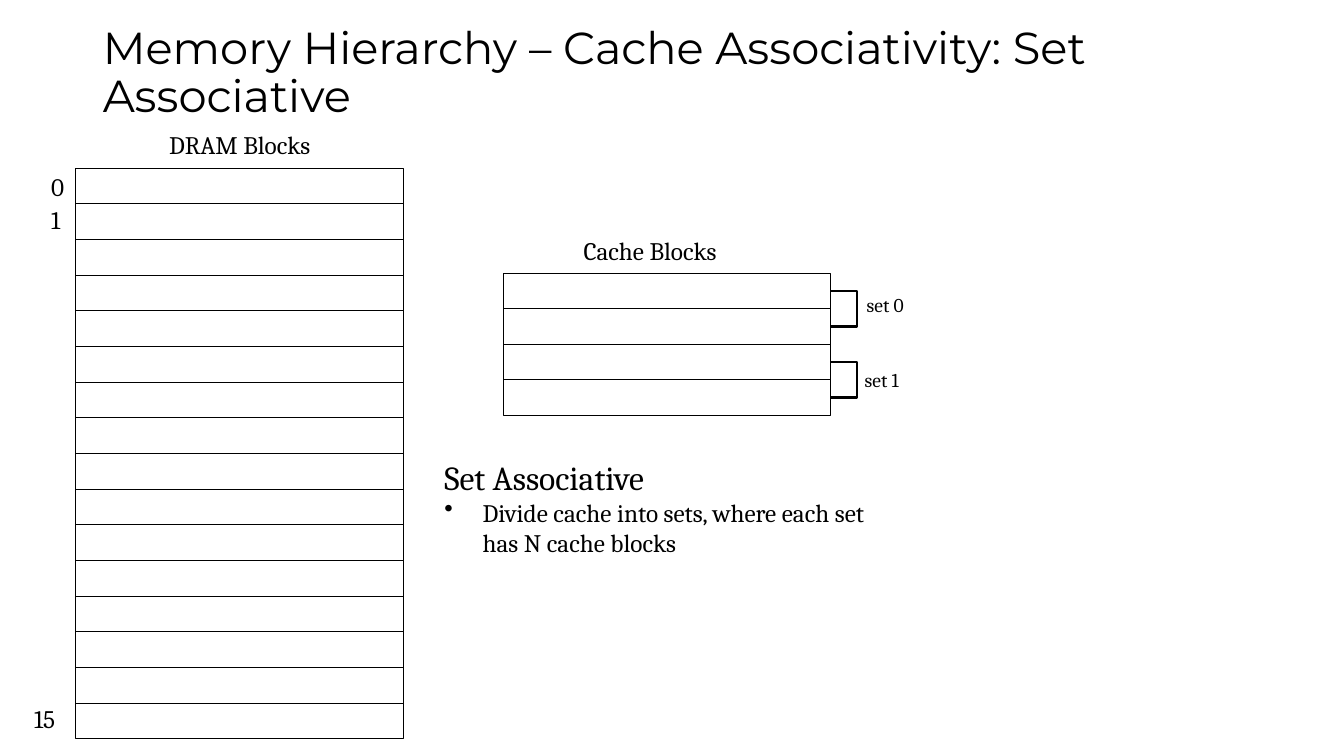
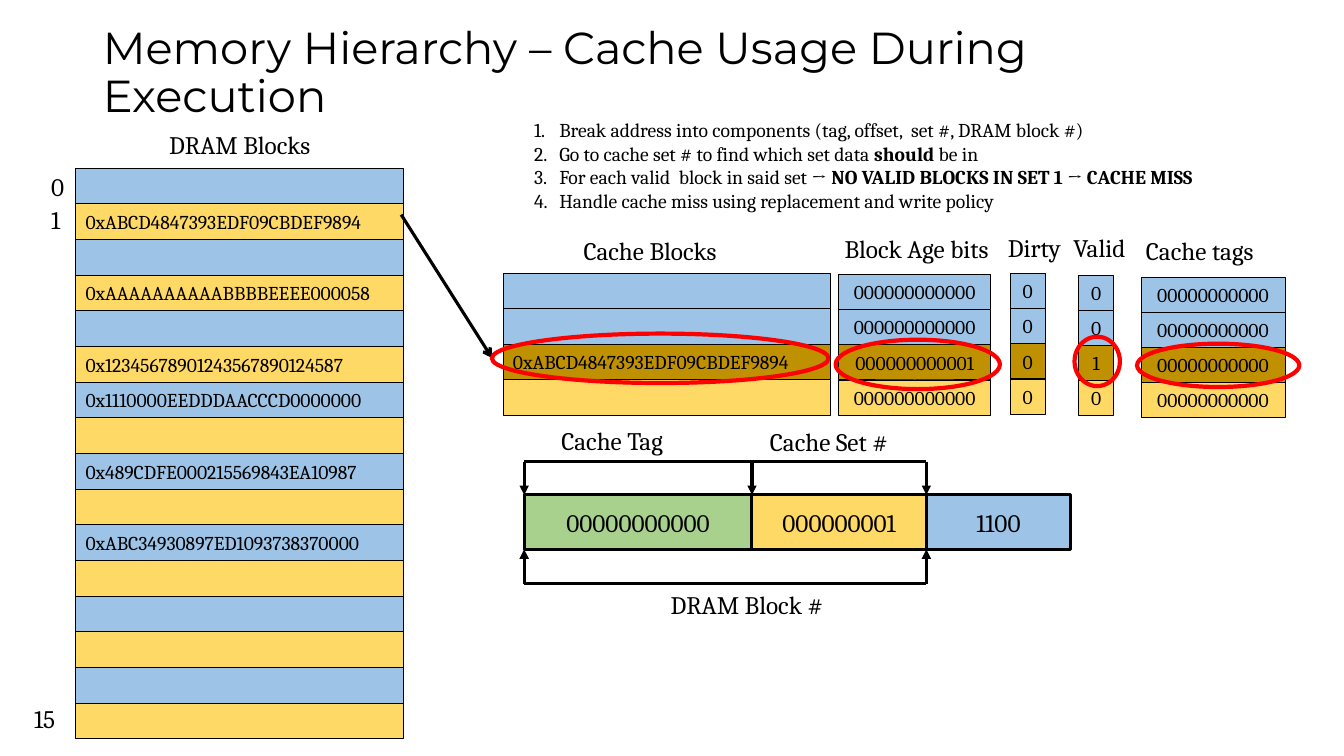
from collections import namedtuple
from itertools import accumulate

from lxml.etree import SubElement
from pptx import Presentation
from pptx.dml.color import RGBColor
from pptx.enum.shapes import MSO_CONNECTOR as Line, MSO_SHAPE as Shape
from pptx.enum.text import MSO_ANCHOR as Anchor, MSO_AUTO_SIZE as AutoSize, PP_ALIGN as Align
from pptx.oxml.ns import qn
from pptx.util import Inches, Pt

# The page is a grid of 0.1 inch units.
UNIT = Inches(0.1)
COLUMNS, ROWS = 133.33, 75
INSET = 1

BLACK = RGBColor(0x00, 0x00, 0x00)
BLUE = RGBColor(0x9D, 0xC3, 0xE6)
YELLOW = RGBColor(0xFF, 0xD9, 0x66)
GOLD = RGBColor(0xBF, 0x90, 0x00)
GREEN = RGBColor(0xA9, 0xD1, 0x8E)
RED = RGBColor(0xFF, 0x00, 0x00)
SET_COLORS = [BLUE, YELLOW]

TITLE_FONT, BODY_FONT = "Montserrat", "Cambria"
SMALL, NORMAL, LARGE = 14, 18, 24
THIN, MEDIUM, THICK, MARKER = 0.75, 1.5, 2.25, 3

Box = namedtuple("Box", "x y w h")
DRAM = Box(7.5, 16.7, 32.5, 56.6)
CACHE = Box(49.9, 27.1, 32.5, 14.1)
DRAM_ROWS, CACHE_ROWS = 16, 4
DRAM_WORDS = {
    1: "0xABCD4847393EDF09CBDEF9894",
    3: "0xAAAAAAAAAABBBBEEEE000058",
    5: "0x12345678901243567890124587",
    6: "0x1110000EEDDDAACCCD0000000",
    8: "0x489CDFE000215569843EA10987",
    10: "0xABC34930897ED1093738370000",
}
STEPS = [
    "Break address into components (tag, offset,  set #, DRAM block #)",
    "Go to cache set # to find which set data **should** be in",
    "For each valid  block in said set → **NO VALID BLOCKS IN SET 1 → CACHE MISS**",
    "Handle cache miss using replacement and write policy",
]


def units(*lengths):
    return [round(length * UNIT) for length in lengths]


def write(para, text, size, align=Align.LEFT, font=BODY_FONT):
    """Fill a paragraph; text between ** marks is bold."""
    para.alignment = align
    for index, part in enumerate(text.split("**")):
        if part:
            span = para.add_run()
            span.text = part
            span.font.name, span.font.size = font, Pt(size)
            span.font.bold = index % 2 == 1
            span.font.color.rgb = BLACK


def add_bullet(para, margin, hanging, tag, **attributes):
    properties = para._p.get_or_add_pPr()
    properties.set("marL", str(Inches(margin)))
    properties.set("indent", str(-Inches(hanging)))
    SubElement(properties, qn(tag), **attributes)


def add_text(page, box, text, size=NORMAL, align=Align.LEFT):
    frame = page.shapes.add_textbox(*units(*box)).text_frame
    frame.word_wrap = True
    write(frame.paragraphs[0], text, size, align)
    return frame


def style_outline(shape, fill, color, width):
    shape.shadow.inherit = False
    if fill is None:
        shape.fill.background()
    else:
        shape.fill.solid()
        shape.fill.fore_color.rgb = fill
    shape.line.color.rgb = color
    shape.line.width = Pt(width)


def add_cell(page, box, fill, text, align, size=SMALL, width=THIN):
    cell = page.shapes.add_shape(Shape.RECTANGLE, *units(*box))
    style_outline(cell, fill, BLACK, width)
    if text:
        frame = cell.text_frame
        frame.vertical_anchor = Anchor.MIDDLE
        frame.margin_left = frame.margin_right = INSET * UNIT
        frame.margin_top = frame.margin_bottom = INSET * UNIT
        write(frame.paragraphs[0], text, size, align)


def add_stack(page, box, fills, texts, align=Align.LEFT):
    """Split a box into equal rows, one for each fill."""
    height = box.h / len(fills)
    for row, (fill, text) in enumerate(zip(fills, texts)):
        add_cell(page, Box(box.x, box.y + row * height, box.w, height), fill, text, align)


def add_line(page, start, end, tail=None):
    line = page.shapes.add_connector(Line.STRAIGHT, *units(*start, *end))
    line.line.color.rgb = BLACK
    line.line.width = Pt(THICK)
    properties = line.element.spPr
    if tail:
        SubElement(properties.find(qn("a:ln")), qn("a:tailEnd"), type=tail)
    SubElement(properties, qn("a:effectLst"))


def add_ring(page, box):
    ring = page.shapes.add_shape(Shape.OVAL, *units(*box))
    style_outline(ring, None, RED, MARKER)


def add_title_page(deck, text, width):
    page = deck.slides.add_slide(deck.slide_layouts[5])
    title = page.shapes.title
    title.left, title.top, title.width, title.height = units(9.2, 4, width, 6.7)
    frame = title.text_frame
    frame.auto_size = AutoSize.NONE
    frame.word_wrap = True
    frame.vertical_anchor = Anchor.MIDDLE
    write(frame.paragraphs[0], text, 32, font=TITLE_FONT)
    frame.paragraphs[0].line_spacing = 0.9
    return page


def add_dram(page, box, fills, words):
    add_stack(page, box, fills, [words.get(row) for row in range(DRAM_ROWS)])
    add_text(page, Box(box.x + 8.3, box.y - 4.4, 16.6, 4), "DRAM Blocks")
    for text, x, y, width in [("0", -3.4, -0.2, 3.4), ("1", -3.4, 3.1, 3.4), ("15", -5.1, 52.6, 5)]:
        add_text(page, Box(box.x + x, box.y + y, width, 4), text)


def add_cache(page, box, fills, words):
    add_stack(page, box, fills, [words.get(row) for row in range(CACHE_ROWS)])
    add_text(page, Box(box.x + 7, box.y - 4.2, 16.1, 4), "Cache Blocks")


def add_set_brackets(page, box):
    """Join the two rows of each set on the right of the cache."""
    row, right, reach = box.h / CACHE_ROWS, box.x + box.w, 2.6
    for index, (x, y) in enumerate([(2.6, 1.5), (2.4, 8.9)]):
        top = box.y + (2 * index + 0.5) * row
        outer = right + reach
        bracket = page.shapes.build_freeform(*units(right, top))
        corners = [(outer, top), (outer, top + row), (right, top + row)]
        bracket.add_line_segments([units(*corner) for corner in corners], close=False)
        style_outline(bracket.convert_to_shape(), None, BLACK, MEDIUM)
        add_text(page, Box(right + x, box.y + y, 6.6, 3.4), f"set {index}", SMALL)


def add_cache_fields(page, fills):
    fields = [
        ("Block Age bits", Box(82.8, 22.7, 17.3, 4), Box(83.2, 27.2, 15.1, 14), 12, "0001"),
        ("Dirty", Box(99, 22.6, 7.6, 4), Box(100.2, 27.1, 3.5, 14), 1, "0000"),
        ("Valid", Box(105.5, 22.6, 7.6, 4), Box(107, 27.3, 3.5, 13.9), 1, "0010"),
        ("Cache tags", Box(112.7, 22.9, 13.4, 4), Box(113.2, 27.5, 14.3, 13.9), 11, "0000"),
    ]
    for name, label, stack, digits, bits in fields:
        if name == "Block Age bits":
            bits = "0010"
        add_text(page, label, name)
        add_stack(page, stack, fills, [bit.zfill(digits) for bit in bits], Align.CENTER)


def add_address(page, box):
    """Address split into tag, set and offset, with brackets above and below."""
    parts = [("00000000000", GREEN, 22.6), ("000000001", YELLOW, 17.3), ("1100", BLUE, 14.3)]
    edges = list(accumulate([width for _, _, width in parts], initial=box.x))
    for (text, fill, width), left in zip(parts, edges):
        add_cell(page, Box(left, box.y, width, box.h), fill, text, Align.CENTER, NORMAL, THICK)

    first, middle, last = edges[:3]
    bottom = box.y + box.h
    above, below = box.y - 3.3, bottom + 3.4
    for y, side, stops in [(above, box.y, (first, middle, last)), (below, bottom, (first, last))]:
        add_line(page, (first, y), (last, y))
        for x in stops:
            add_line(page, (x, y), (x, side), "triangle")
    add_text(page, Box(first + 2.7, above - 4.1, 13, 4), "Cache Tag")
    add_text(page, Box(middle + 0.8, above - 4, 14.4, 4), "Cache Set #")
    add_text(page, Box(first + 9.9, below + 0.1, 24.4, 4), "DRAM Block #", align=Align.CENTER)


def add_steps(page, box):
    frame = add_text(page, box, STEPS[0], SMALL)
    for step in STEPS[1:]:
        write(frame.add_paragraph(), step, SMALL)
    for para in frame.paragraphs:
        add_bullet(para, 0.5, 0.25, "a:buAutoNum", type="arabicPeriod")


def add_definition(page, box):
    frame = add_text(page, box, "Set Associative", LARGE)
    para = frame.add_paragraph()
    write(para, "Divide cache into sets, where each set has N cache blocks", NORMAL)
    add_bullet(para, 0.38, 0.38, "a:buChar", char="•")


def build_associativity(deck):
    page = add_title_page(deck, "Memory Hierarchy – Cache Associativity: Set Associative", 117.3)
    add_dram(page, DRAM, [None] * DRAM_ROWS, {})
    add_cache(page, CACHE, [None] * CACHE_ROWS, {})
    add_set_brackets(page, CACHE)
    add_definition(page, Box(43.1, 44.8, 45.2, 15.1))


def build_execution(deck):
    page = add_title_page(deck, "Memory Hierarchy – Cache Usage During Execution", 115)
    cache_fills = [BLUE, BLUE, GOLD, YELLOW]
    add_dram(page, DRAM, SET_COLORS * (DRAM_ROWS // 2), DRAM_WORDS)
    add_cache(page, CACHE, cache_fills, {2: DRAM_WORDS[1]})
    add_cache_fields(page, cache_fills)
    add_address(page, Box(52, 49.1, 54.2, 5.4))
    add_steps(page, Box(49.5, 11.2, 77.3, 20.5))
    add_line(page, (39.8, 21.3), (48.8, 35.5), "arrow")
    for ring in [Box(48.8, 33.1, 33.4, 4.9), Box(82.9, 33.7, 16.3, 4.9),
                 Box(106.6, 33.4, 4.5, 4.9), Box(112.8, 34.1, 16.1, 4.3)]:
        add_ring(page, ring)


def main():
    deck = Presentation()
    deck.slide_width, deck.slide_height = units(COLUMNS, ROWS)
    build_associativity(deck)
    build_execution(deck)
    deck.save("out.pptx")


if __name__ == "__main__":
    main()
